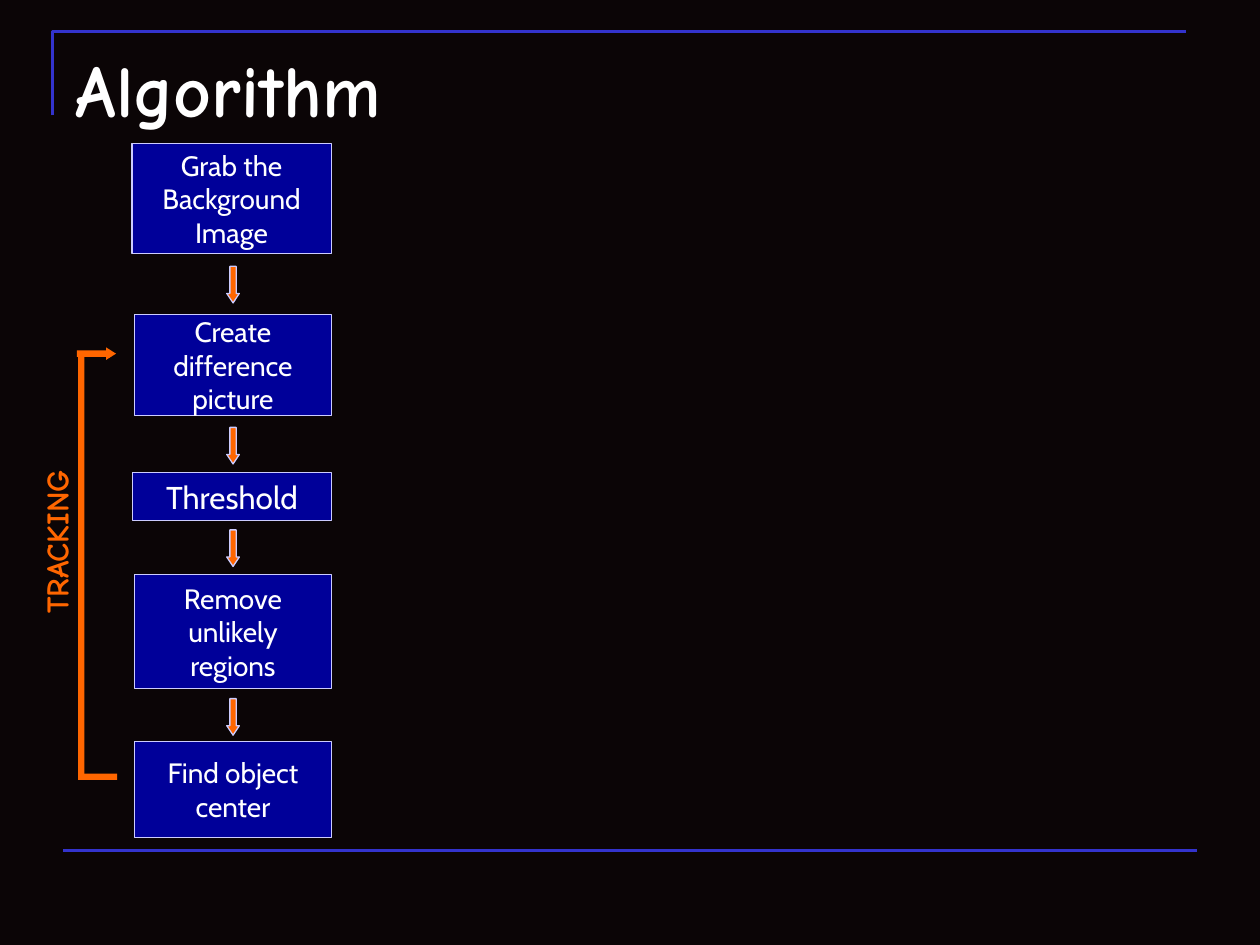
import pptx
import pptx.util
import pptx.dml.color
import pptx.enum.shapes
import pptx.enum.text
import pptx.oxml.ns
import lxml.etree

Pt = pptx.util.Pt
SHAPE = pptx.enum.shapes.MSO_SHAPE
ALIGN = pptx.enum.text.PP_ALIGN
ANCHOR = pptx.enum.text.MSO_ANCHOR


def rgb(value):
    return pptx.dml.color.RGBColor.from_string(value)


class Deck:
    white, orange, navy, pale, rule_color = "FFFFFF", "FF6600", "000099", "CCCCFF", "3333CC"
    heading = {"name": "Comic Neue", "bold": True}
    body = {"name": "Cabin", "bold": False}

    def __init__(self, prs):
        self.s = prs.slides.add_slide(prs.slide_layouts[5])
        fill = self.s.background.fill
        fill.solid()
        fill.fore_color.rgb = rgb("0B0506")

    def set_text(self, sp, lines, font, size, color, align, anchor, wrap, margins=(7.2, 3.6)):
        tf = sp.text_frame
        side, end = map(Pt, margins)
        frame = {"margin_left": side, "margin_right": side, "margin_top": end,
                 "margin_bottom": end, "vertical_anchor": anchor, "word_wrap": wrap,
                 "auto_size": pptx.enum.text.MSO_AUTO_SIZE.NONE}
        for key, value in frame.items():
            setattr(tf, key, value)
        for i, line in enumerate(lines):
            p = tf.paragraphs[0] if i == 0 else tf.add_paragraph()
            p.alignment = align
            r = p.add_run()
            r.text = line
            for key, value in {**font, "size": Pt(size)}.items():
                setattr(r.font, key, value)
            r.font.color.rgb = rgb(color)

    def title(self, text, x, y, w, h):
        sp = self.s.shapes.title
        for key, value in {"left": x, "top": y, "width": w, "height": h}.items():
            setattr(sp, key, Pt(value))
        self.set_text(sp, [text], self.heading, 42, self.white, ALIGN.LEFT, ANCHOR.TOP, True)

    def shape(self, kind, x, y, w, h, fill, line=None, adjust=(), parent=None):
        shapes = (parent or self.s).shapes
        sp = shapes.add_shape(kind, Pt(x), Pt(y), Pt(w), Pt(h))
        sp.shadow.inherit = False
        sp.fill.solid()
        sp.fill.fore_color.rgb = rgb(fill)
        if line:
            sp.line.color.rgb = rgb(line)
            sp.line.width = Pt(0.75)
        else:
            sp.line.fill.background()
        for i, value in enumerate(adjust):
            sp.adjustments[i] = value
        return sp

    def step(self, lines, x, y, w, h, size):
        sp = self.shape(SHAPE.RECTANGLE, x, y, w, h, self.navy, self.pale)
        self.set_text(sp, lines, self.body, size, self.white, ALIGN.CENTER, ANCHOR.MIDDLE, False)

    def down_arrow(self, x, y):
        self.shape(SHAPE.DOWN_ARROW, x, y, 7.2, 20.9, self.orange, self.pale, (0.5, 0.75))

    def loop(self):
        group = self.s.shapes.add_group_shape()
        self.shape(SHAPE.RECTANGLE, 46, 442, 21, 3.6, self.orange, parent=group)
        self.shape(SHAPE.RECTANGLE, 44.6, 201, 3.6, 244.6, self.orange, parent=group)
        self.shape(SHAPE.RIGHT_ARROW, 44, 198.5, 22.3, 7.2, self.orange,
                   adjust=(0.5, 0.79), parent=group)

    def vertical_label(self, text, x, y, w, h):
        sp = self.s.shapes.add_textbox(Pt(x), Pt(y), Pt(w), Pt(h))
        self.set_text(sp, [text], self.heading, 18, self.orange, ALIGN.CENTER,
                      ANCHOR.MIDDLE, True, (3.6, 7.2))
        sp.text_frame._txBody.bodyPr.set("vert", "vert270")

    def corner(self, x, y, w, h):
        fb = self.s.shapes.build_freeform(Pt(x), Pt(y + h))
        fb.add_line_segments([(Pt(x), Pt(y)), (Pt(x + w), Pt(y))], close=False)
        sp = fb.convert_to_shape()
        sp.fill.background()
        self.stroke(sp)

    def rule(self, x1, x2, y):
        sp = self.s.shapes.add_connector(
            pptx.enum.shapes.MSO_CONNECTOR.STRAIGHT, Pt(x1), Pt(y), Pt(x2), Pt(y))
        self.stroke(sp)

    def stroke(self, sp):
        sp.line.color.rgb = rgb(self.rule_color)
        sp.line.width = Pt(1.5)
        lxml.etree.SubElement(sp._element.spPr, pptx.oxml.ns.qn("a:effectLst"))


def main():
    prs = pptx.Presentation()
    prs.slide_width, prs.slide_height = Pt(720), Pt(540)
    deck = Deck(prs)
    deck.corner(30, 18, 648, 48)
    deck.rule(36, 684, 486)
    deck.title("Algorithm", 36, 21.6, 648, 90)

    steps = [
        (["Grab the", "Background", "Image"], 75.4, 82.2, 62.6, 16),
        (["Create", "difference", "picture"], 77, 179.8, 57.6, 16),
        (["Threshold"], 75.8, 270, 27.4, 18),
        (["Remove", "unlikely", "regions"], 77, 328.2, 65.3, 16),
        (["Find object", "center"], 77, 423.6, 54.8, 16),
    ]
    right = 189.3
    for lines, x, y, h, size in steps:
        deck.step(lines, x, y, right - x, h, size)
    for y in (152.2, 244.2, 302.8, 399.2):
        deck.down_arrow(129.6, y)
    deck.loop()
    deck.vertical_label("TRACKING", 14, 256.3, 36, 106.6)
    prs.save("out.pptx")


if __name__ == "__main__":
    main()
